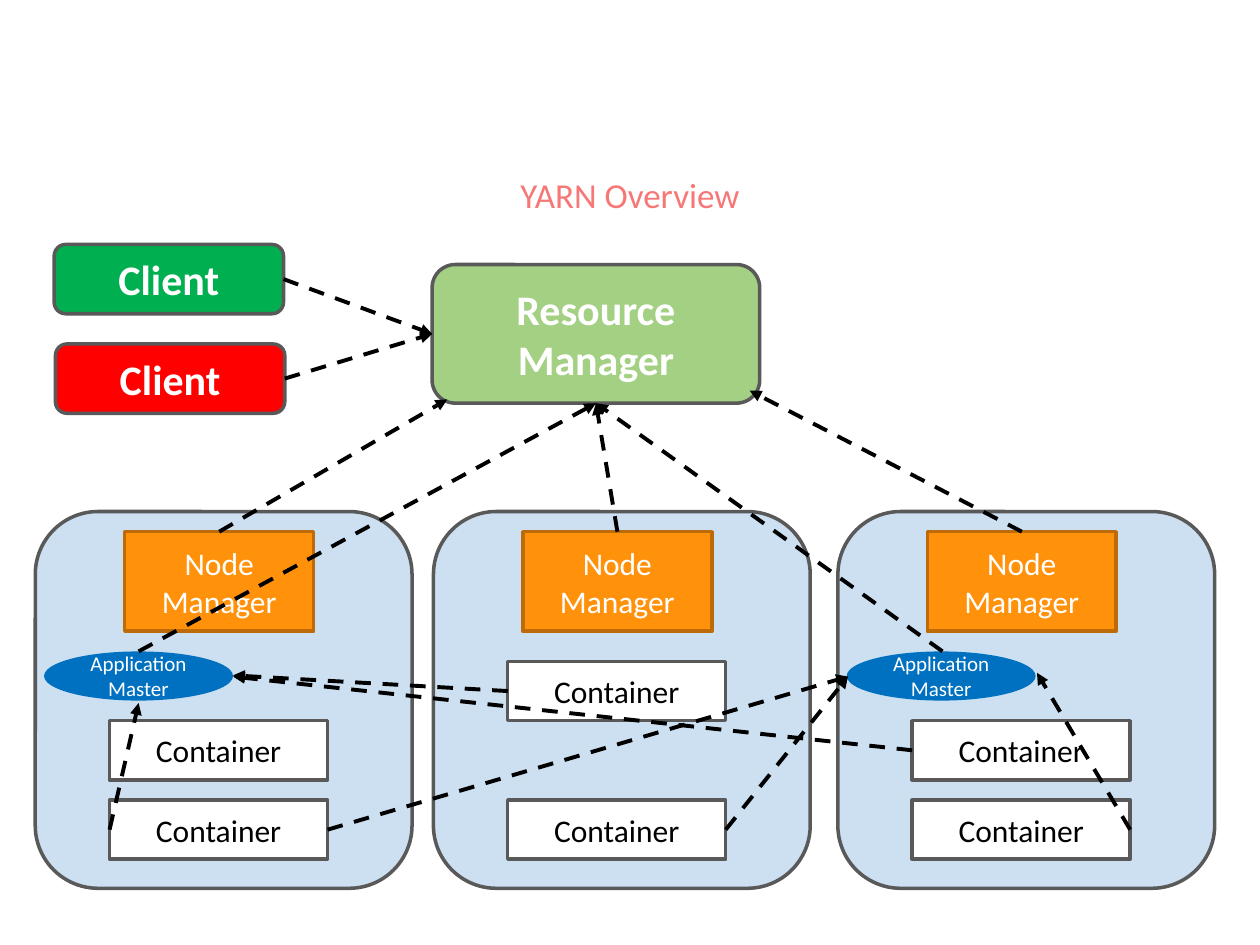
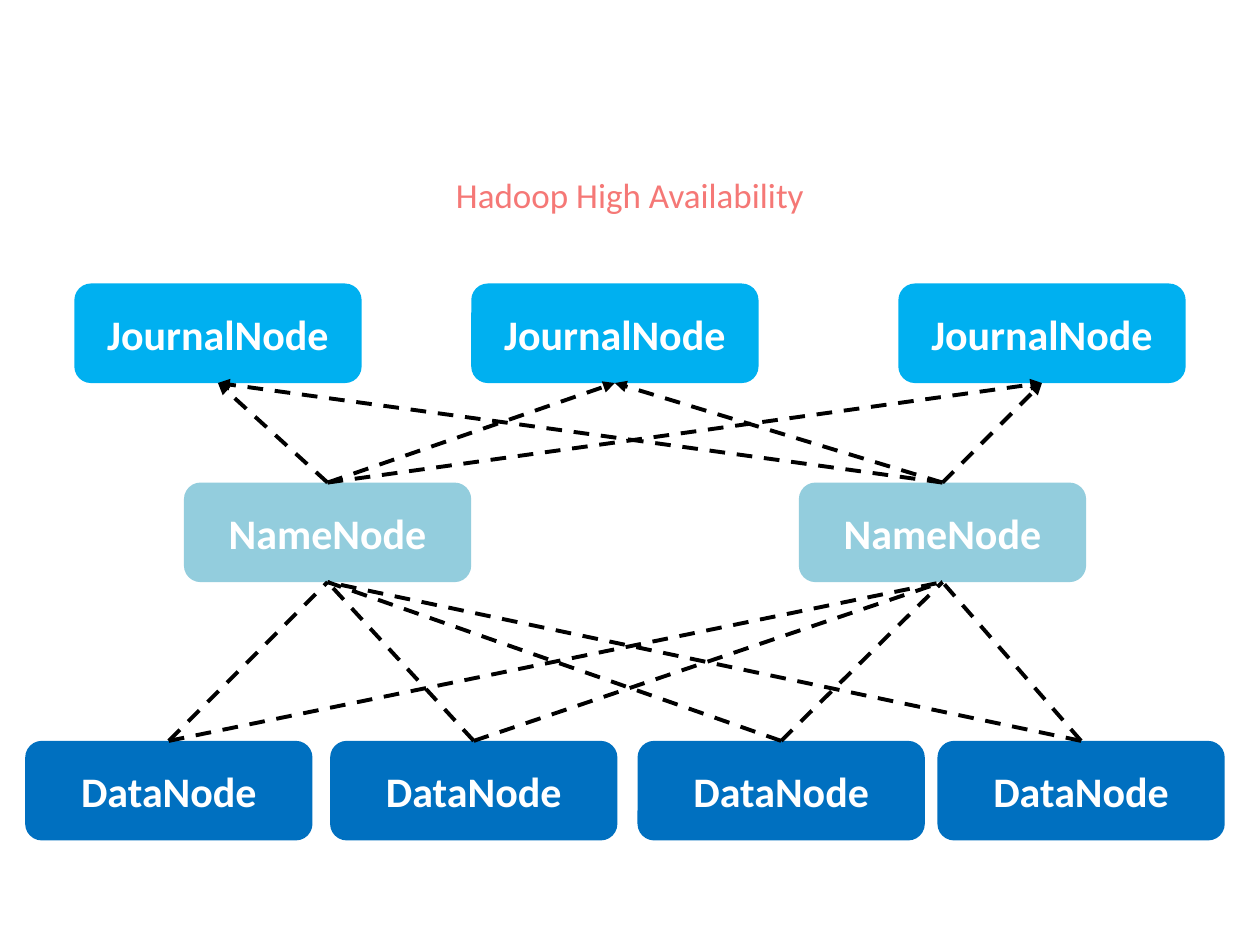
from pptx import Presentation
from pptx.dml.color import RGBColor
from pptx.enum.dml import MSO_LINE
from pptx.enum.shapes import MSO_CONNECTOR, MSO_SHAPE
from pptx.enum.text import MSO_ANCHOR, PP_ALIGN
from pptx.oxml.ns import qn
from pptx.util import Inches, Pt
from lxml import etree

COLORS = {
    "title": "F57876",
    "white": "FFFFFF",
    "black": "000000",
    "outline": "595959",
    "resource": "A4D083",
    "client_green": "00B050",
    "client_red": "FF0000",
    "worker": "CCE0F1",
    "manager": "FF910B",
    "manager_line": "BD6B08",
    "blue": "0070C0",
    "name_node": "93CDDD",
    "journal_node": "00B0F0",
}
FONT = "Calibri"
TOP, LEFT, BOTTOM, RIGHT = range(4)
ROUND, RECT, OVAL = MSO_SHAPE.ROUNDED_RECTANGLE, MSO_SHAPE.RECTANGLE, MSO_SHAPE.OVAL


def add_text(s, text, x, y, w, h, kind=None, fill=None, line=None,
             size=24, color="white", bold=False):
    box = [Inches(v) for v in (x, y, w, h)]
    if kind is None:
        sp = s.shapes.add_textbox(*box)
    else:
        sp = s.shapes.add_shape(kind, *box)
        sp.shadow.inherit = False
        sp.fill.solid()
        sp.fill.fore_color.rgb = RGBColor.from_string(COLORS[fill])
        if line:
            sp.line.color.rgb = RGBColor.from_string(COLORS[line])
            sp.line.width = Pt(2)
        else:
            sp.line.fill.background()
    if text:
        tf = sp.text_frame
        tf.word_wrap = True
        tf.vertical_anchor = MSO_ANCHOR.MIDDLE
        p = tf.paragraphs[0]
        p.alignment = PP_ALIGN.CENTER
        r = p.add_run()
        r.text = text
        r.font.name = FONT
        r.font.size = Pt(size)
        r.font.bold = bold
        r.font.color.rgb = RGBColor.from_string(COLORS[color])
    return sp


def add_link(s, start, end, arrow=True):
    joined = [not isinstance(e[0], (int, float)) for e in (start, end)]
    points = [(0, 0) if j else e for j, e in zip(joined, (start, end))]
    cx = s.shapes.add_connector(MSO_CONNECTOR.STRAIGHT,
                                *[Inches(v) for point in points for v in point])
    if joined[0]:
        cx.begin_connect(*start)
    if joined[1]:
        cx.end_connect(*end)
    cx.line.color.rgb = RGBColor.from_string(COLORS["black"])
    cx.line.width = Pt(2.25)
    cx.line.dash_style = MSO_LINE.DASH
    if arrow:
        etree.SubElement(cx.line._get_or_add_ln(), qn("a:tailEnd"), type="triangle")
    etree.SubElement(cx._element.spPr, qn("a:effectLst"))


prs = Presentation()
prs.slide_width, prs.slide_height = Inches(10), Inches(7.5)
slides = []
for title in ("YARN Overview", "Hadoop High Availability"):
    s = prs.slides.add_slide(prs.slide_layouts[6])
    add_text(s, title, 0.5, 1.15, 9, 0.79, size=20, color="title")
    slides.append(s)
yarn, hadoop = slides

resource = add_text(yarn, "Resource Manager", 3.43, 2.1, 2.6, 1.1, kind=ROUND,
                    fill="resource", line="outline", bold=True)
clients = [add_text(yarn, "Client", x, y, 1.82, 0.55, kind=ROUND, fill=fill,
                    line="outline", bold=True)
           for x, y, fill in ((0.43, 1.94, "client_green"), (0.44, 2.73, "client_red"))]

managers, containers = [], []
for x, first_y, has_master in ((0.28, 5.72, True), (3.44, 5.25, False), (6.65, 5.72, True)):
    add_text(yarn, "", x, 4.06, 2.99, 2.99, kind=ROUND, fill="worker", line="outline")
    managers.append(add_text(yarn, "Node Manager", x + 0.71, 4.22, 1.5, 0.79, kind=RECT,
                             fill="manager", line="manager_line", size=18))
    containers.append([add_text(yarn, "Container", x + 0.59, y, 1.73, 0.47, kind=RECT,
                                fill="white", line="outline", size=18, color="black")
                       for y in (first_y, 6.35)])
    if has_master:
        add_text(yarn, "Application Master", x + 0.07, 5.17, 1.5, 0.39, kind=OVAL,
                 fill="blue", size=12)

left, middle, right = containers
yarn_links = [
    ((clients[0], RIGHT), (resource, LEFT)),
    ((clients[1], RIGHT), (resource, LEFT)),
    ((managers[0], TOP), (3.55, 3.17)),
    ((managers[1], TOP), (resource, BOTTOM)),
    ((managers[2], TOP), (5.95, 3.1)),
    ((middle[0], LEFT), (1.85, 5.36)),
    ((right[0], LEFT), (1.85, 5.37)),
    ((left[1], RIGHT), (6.73, 5.37)),
    ((middle[1], RIGHT), (6.73, 5.37)),
    ((left[1], LEFT), (1.1, 5.58)),
    ((right[1], RIGHT), (8.23, 5.34)),
    ((1.1, 5.17), (resource, BOTTOM)),
    ((7.48, 5.17), (resource, BOTTOM)),
]
for start, end in yarn_links:
    add_link(yarn, start, end)

tiers = {}
for name, fill, y, lefts in (
    ("NameNode", "name_node", 3.83, (1.46, 6.34)),
    ("DataNode", "blue", 5.88, (0.2, 2.62, 5.06, 7.44)),
    ("JournalNode", "journal_node", 2.25, (0.59, 3.74, 7.13)),
):
    tiers[name] = [add_text(hadoop, name, x, y, 2.28, 0.79, kind=ROUND, fill=fill, bold=True)
                   for x in lefts]

for name_node in tiers["NameNode"]:
    for journal_node in tiers["JournalNode"]:
        add_link(hadoop, (name_node, TOP), (journal_node, BOTTOM))
    for data_node in tiers["DataNode"]:
        add_link(hadoop, (data_node, TOP), (name_node, BOTTOM), arrow=False)

prs.save("out.pptx")
